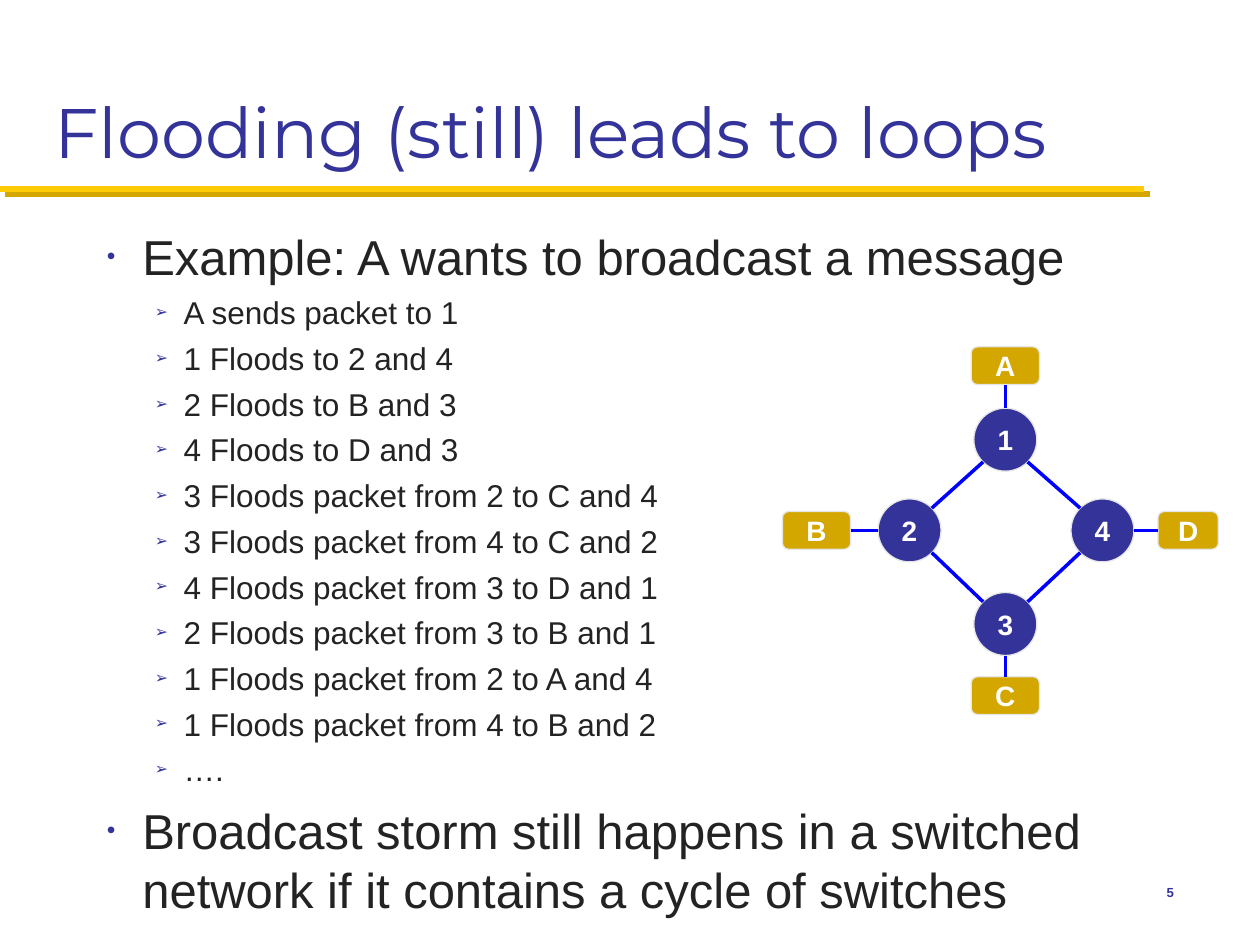
"""Build a slide showing how flooding loops in a switched network with a cycle."""
from lxml.etree import SubElement
from pptx import Presentation
from pptx.dml.color import RGBColor
from pptx.enum.shapes import MSO_CONNECTOR, MSO_SHAPE
from pptx.enum.text import MSO_ANCHOR, PP_ALIGN
from pptx.oxml.ns import qn
from pptx.util import Pt

COLORS = {"navy": "333399", "gold": "D3A600", "yellow": "FFCB05", "text": "232323",
          "link": "0000FF", "outline": "E6E6E6", "white": "FFFFFF"}

TITLE = "Flooding (still) leads to loops"
PAGE_NUMBER = "5"
BODY = [
    (0, "Example: A wants to broadcast a message"),
    (1, "A sends packet to 1"),
    (1, "1 Floods to 2 and 4"),
    (1, "2 Floods to B and 3"),
    (1, "4 Floods to D and 3"),
    (1, "3 Floods packet from 2 to C and 4"),
    (1, "3 Floods packet from 4 to C and 2"),
    (1, "4 Floods packet from 3 to D and 1"),
    (1, "2 Floods packet from 3 to B and 1"),
    (1, "1 Floods packet from 2 to A and 4"),
    (1, "1 Floods packet from 4 to B and 2"),
    (1, "…."),
    (0, "Broadcast storm still happens in a switched network "
        "if it contains a cycle of switches"),
]
LEVELS = [
    {"size": 28, "bullet": "•", "margin": 20.25, "hanging": 20.25, "before": 7},
    {"size": 18, "bullet": "➢", "margin": 43.9, "hanging": 16.5, "before": 4.5},
]

SWITCH_SIZE = 36
SWITCHES = {"1": (574.5, 251.25), "2": (519.75, 303.1), "4": (630, 303.1), "3": (574.5, 356.6)}
RING = ["1", "2", "3", "4"]
HOST_HEIGHT = 21.6
HOSTS = {
    "A": {"center": (574.5, 209), "width": 39, "switch": "1", "site": 2, "toward": (0, -1)},
    "B": {"center": (466.6, 303.1), "width": 39, "switch": "2", "site": 3, "toward": (-1, 0)},
    "C": {"center": (574.5, 397.5), "width": 39, "switch": "3", "site": 0, "toward": (0, 1)},
    "D": {"center": (678.9, 303.1), "width": 34.5, "switch": "4", "site": 1, "toward": (1, 0)},
}


def color(name):
    return RGBColor.from_string(COLORS[name])


def add_run(paragraph, text, size, color_name, font="Arial", bold=False):
    run = paragraph.add_run()
    run.text = text
    run.font.size = Pt(size)
    run.font.name = font
    run.font.bold = bold
    run.font.color.rgb = color(color_name)


def add_text_box(slide, left, top, width, height, anchor, wrap=True):
    frame = slide.shapes.add_textbox(Pt(left), Pt(top), Pt(width), Pt(height)).text_frame
    frame.word_wrap = wrap
    frame.vertical_anchor = anchor
    return frame


def add_bullet(paragraph, style):
    properties = paragraph._p.get_or_add_pPr()
    properties.set("marL", str(Pt(style["margin"])))
    properties.set("indent", str(-Pt(style["hanging"])))
    bullet_color = SubElement(properties, qn("a:buClr"))
    SubElement(bullet_color, qn("a:srgbClr"), val=COLORS["navy"])
    SubElement(properties, qn("a:buSzPct"), val="50000")
    SubElement(properties, qn("a:buFont"), typeface="Arial")
    SubElement(properties, qn("a:buChar"), char=style["bullet"])


def add_line(slide, start, end, color_name="link", width=2):
    points = [Pt(value) for value in (*start, *end)]
    line = slide.shapes.add_connector(MSO_CONNECTOR.STRAIGHT, *points)
    line.line.color.rgb = color(color_name)
    line.line.width = Pt(width)
    effects = SubElement(line._element.spPr, qn("a:effectLst"))
    return line, effects


def add_node(slide, preset, label, center, width, height, fill):
    x, y = center
    shape = slide.shapes.add_shape(preset, Pt(x - width / 2), Pt(y - height / 2),
                                   Pt(width), Pt(height))
    shape.shadow.inherit = False
    shape.fill.solid()
    shape.fill.fore_color.rgb = color(fill)
    shape.line.color.rgb = color("outline")
    shape.line.width = Pt(0.75)
    frame = shape.text_frame
    frame.margin_left = frame.margin_right = frame.margin_top = frame.margin_bottom = 0
    frame.vertical_anchor = MSO_ANCHOR.MIDDLE
    paragraph = frame.paragraphs[0]
    paragraph.alignment = PP_ALIGN.CENTER
    add_run(paragraph, label, 16, "white", bold=True)
    return shape


def add_title(slide):
    _, effects = add_line(slide, (0, 108), (654, 108), "yellow", 3.5)
    shadow = SubElement(effects, qn("a:outerShdw"), dist=str(Pt(4.2)), dir="2700000",
                        algn="ctr", rotWithShape="0")
    SubElement(shadow, qn("a:srgbClr"), val=COLORS["gold"])
    frame = add_text_box(slide, 24, 12, 672, 90, MSO_ANCHOR.BOTTOM)
    add_run(frame.paragraphs[0], TITLE, 40, "navy", "Montserrat")


def add_body(slide):
    frame = add_text_box(slide, 54, 126, 624, 348, MSO_ANCHOR.TOP)
    for index, (level, text) in enumerate(BODY):
        paragraph = frame.add_paragraph() if index else frame.paragraphs[0]
        style = LEVELS[level]
        paragraph.level = level
        paragraph.space_before = Pt(style["before"])
        add_bullet(paragraph, style)
        add_run(paragraph, text, style["size"], "text")


def add_network(slide):
    for label, center in SWITCHES.items():
        add_node(slide, MSO_SHAPE.OVAL, label, center, SWITCH_SIZE, SWITCH_SIZE, "navy")
    radius = SWITCH_SIZE / 2
    diagonal = radius * 0.5 ** 0.5
    for first, second in zip(RING, RING[1:] + RING[:1]):
        (x1, y1), (x2, y2) = SWITCHES[first], SWITCHES[second]
        dx = diagonal if x2 > x1 else -diagonal
        dy = diagonal if y2 > y1 else -diagonal
        add_line(slide, (x1 + dx, y1 + dy), (x2 - dx, y2 - dy))
    for label, host in HOSTS.items():
        shape = add_node(slide, MSO_SHAPE.ROUNDED_RECTANGLE, label, host["center"],
                         host["width"], HOST_HEIGHT, "gold")
        (x, y), (dx, dy) = SWITCHES[host["switch"]], host["toward"]
        line, _ = add_line(slide, host["center"], (x + dx * radius, y + dy * radius))
        line.begin_connect(shape, host["site"])


def add_page_number(slide):
    frame = add_text_box(slide, 630, 492, 48, 36, MSO_ANCHOR.MIDDLE, wrap=False)
    paragraph = frame.paragraphs[0]
    paragraph.alignment = PP_ALIGN.RIGHT
    add_run(paragraph, PAGE_NUMBER, 7.5, "navy", bold=True)


def main():
    presentation = Presentation()
    presentation.slide_width, presentation.slide_height = Pt(720), Pt(540)
    slide = presentation.slides.add_slide(presentation.slide_layouts[6])
    add_title(slide)
    add_body(slide)
    add_network(slide)
    add_page_number(slide)
    presentation.save("out.pptx")


if __name__ == "__main__":
    main()
